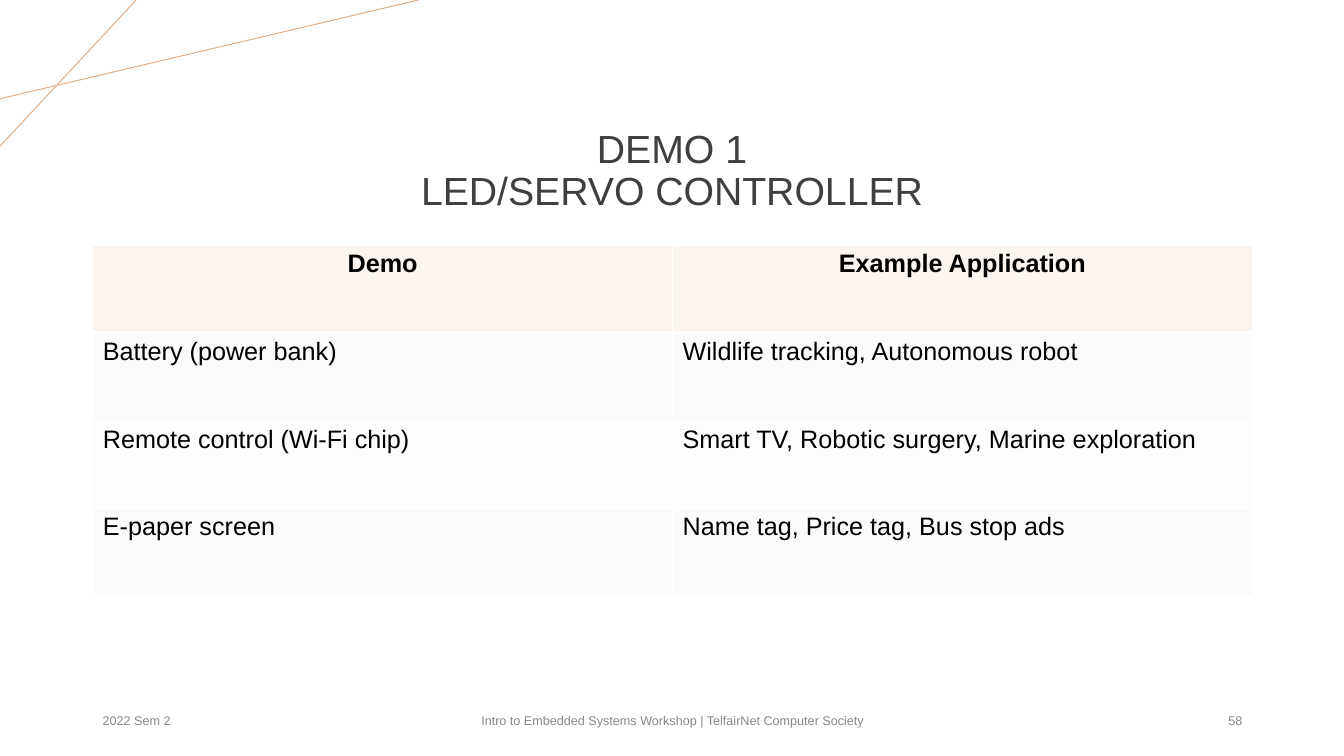
from lxml import etree
from pptx import Presentation
from pptx.dml.color import RGBColor
from pptx.enum.shapes import MSO_CONNECTOR
from pptx.enum.text import MSO_ANCHOR, PP_ALIGN
from pptx.oxml.ns import qn
from pptx.util import Inches, Pt

LEFT, CENTER, RIGHT = PP_ALIGN.LEFT, PP_ALIGN.CENTER, PP_ALIGN.RIGHT
MIDDLE = MSO_ANCHOR.MIDDLE
STRAIGHT = MSO_CONNECTOR.STRAIGHT

FONT = "Arial"
ACCENT = RGBColor(0xE2, 0xB0, 0x8C)
TITLE_GRAY = RGBColor(0x3F, 0x3F, 0x3F)
FOOTER_GRAY = RGBColor(0x88, 0x88, 0x88)
BLACK = RGBColor(0x00, 0x00, 0x00)
HEADER_FILL = RGBColor(0xFB, 0xF4, 0xEF)
BAND_FILLS = (RGBColor(0xFD, 0xFB, 0xF9), RGBColor(0xFE, 0xFD, 0xFC))
BORDER_HEX = "FFFFFF"

DEMOS = [
    ("Demo", "Example Application"),
    ("Battery (power bank)", "Wildlife tracking, Autonomous robot"),
    ("Remote control (Wi-Fi chip)", "Smart TV, Robotic surgery, Marine exploration"),
    ("E-paper screen", "Name tag, Price tag, Bus stop ads"),
]


def write(paragraph, text, size, color, align, bold=False):
    paragraph.text = text
    paragraph.alignment = align
    font = paragraph.font
    font.name, font.size, font.bold = FONT, Pt(size), bold
    font.color.rgb = color


def add_label(slide, box, text, size, color, align):
    """Add vertically centred text in box and return its paragraph."""
    frame = slide.shapes.add_textbox(*map(Inches, box)).text_frame
    frame.word_wrap = True
    frame.vertical_anchor = MIDDLE
    write(frame.paragraphs[0], text, size, color, align)
    return frame.paragraphs[0]


def add_corner_lines(slide, left, top):
    for across, down in ((1.35, 1.45), (4.15, 0.98)):
        line = slide.shapes.add_connector(
            STRAIGHT, Inches(left + across), Inches(top),
            Inches(left), Inches(top + down))
        line.line.color.rgb = ACCENT
        line.line.width = Pt(0.75)
        etree.SubElement(line._element.spPr, qn("a:effectLst"))


def add_title(slide, box):
    title = add_label(slide, box, "DEMO 1\nLED/SERVO CONTROLLER", 28, TITLE_GRAY, CENTER)
    title.line_spacing = 0.9


def add_footer(slide, left, top, width, height):
    side, middle = 3, 4.5
    parts = [
        (left, side, "2022 Sem 2", LEFT),
        (left + (width - middle) / 2, middle,
         "Intro to Embedded Systems Workshop | TelfairNet Computer Society", CENTER),
        (left + width - side, side, "58", RIGHT),
    ]
    for part_left, part_width, text, align in parts:
        add_label(slide, (part_left, top, part_width, height), text, 9, FOOTER_GRAY, align)


def set_borders(cell, widths):
    """Draw the cell's edges; widths maps L, R, T, B to points."""
    properties = cell._tc.get_or_add_tcPr()
    for side, width in widths.items():
        edge = etree.SubElement(properties, qn(f"a:ln{side}"), w=str(Pt(width)))
        fill = etree.SubElement(edge, qn("a:solidFill"))
        etree.SubElement(fill, qn("a:srgbClr"), val=BORDER_HEX)


def add_demo_table(slide, box):
    table = slide.shapes.add_table(len(DEMOS), len(DEMOS[0]), *map(Inches, box)).table
    for row, texts in enumerate(DEMOS):
        header = row == 0
        for column, text in enumerate(texts):
            cell = table.cell(row, column)
            set_borders(cell, {"L": 1, "R": 1, "T": 3 if row == 1 else 1,
                               "B": 3 if header else 1})
            cell.fill.solid()
            cell.fill.fore_color.rgb = HEADER_FILL if header else BAND_FILLS[(row - 1) % 2]
            write(cell.text_frame.paragraphs[0], text, 18, BLACK,
                  CENTER if header else LEFT, bold=header)


def main():
    deck = Presentation()
    deck.slide_width, deck.slide_height = Inches(13.33), Inches(7.5)
    slide = deck.slides.add_slide(deck.slide_layouts[6])
    add_corner_lines(slide, 0, 0)
    add_title(slide, (2.06, 0.98, 9.21, 1.45))
    add_footer(slide, 0.92, 6.95, 11.5, 0.4)
    add_demo_table(slide, (0.92, 2.43, 11.5, 3.48))
    deck.save("out.pptx")


if __name__ == "__main__":
    main()
